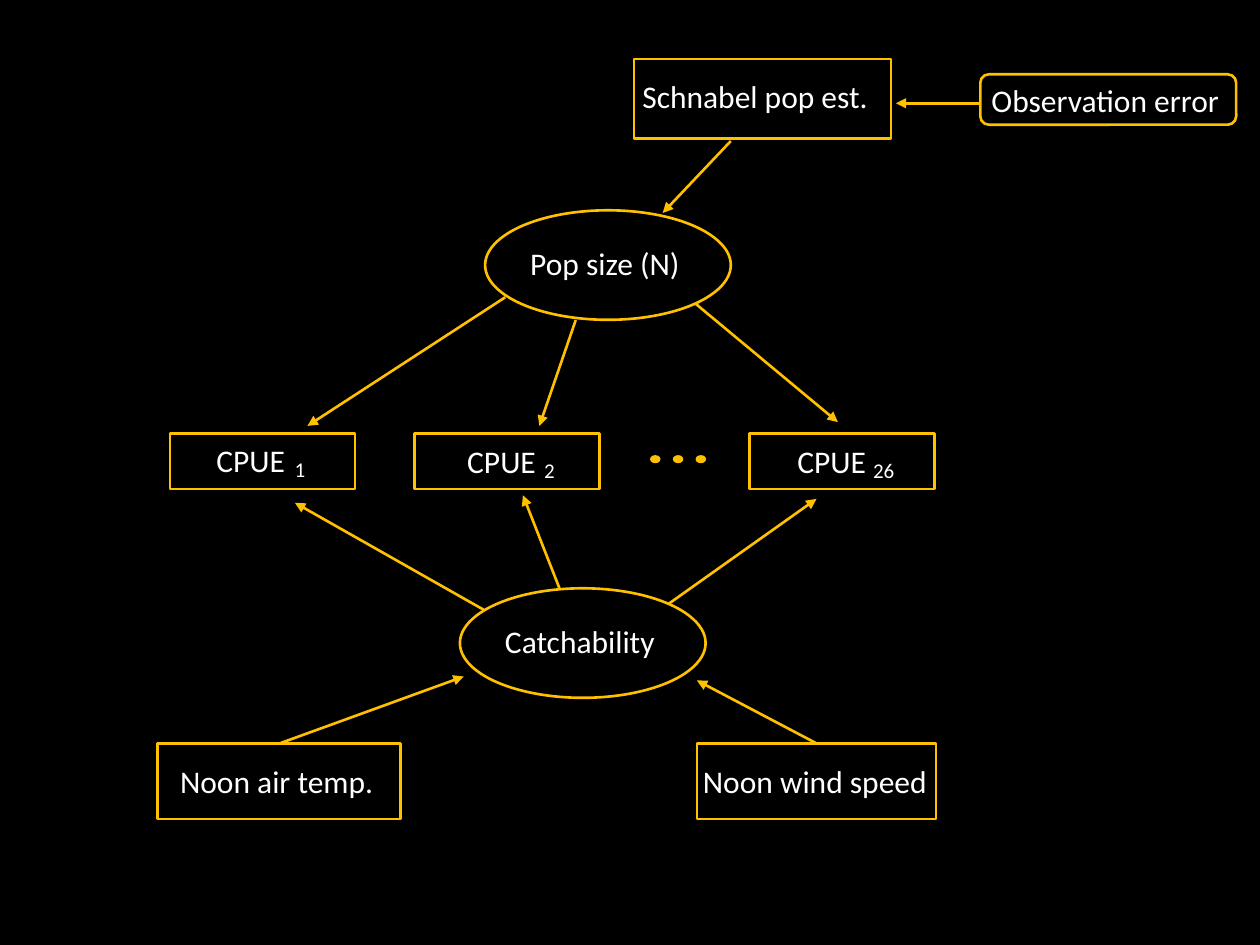
from dataclasses import dataclass

from lxml import etree
from pptx import Presentation
from pptx.dml.color import RGBColor
from pptx.enum.shapes import MSO_CONNECTOR, MSO_SHAPE
from pptx.enum.text import MSO_AUTO_SIZE
from pptx.oxml.ns import qn
from pptx.util import Pt

OVAL = MSO_SHAPE.OVAL
RECT = MSO_SHAPE.RECTANGLE
ROUND = MSO_SHAPE.ROUNDED_RECTANGLE
LINE = MSO_CONNECTOR.STRAIGHT
GROW = MSO_AUTO_SIZE.SHAPE_TO_FIT_TEXT


@dataclass(frozen=True)
class Theme:
    back: RGBColor = RGBColor(0, 0, 0)
    gold: RGBColor = RGBColor(0xFF, 0xC0, 0)
    text: RGBColor = RGBColor(0xFF, 0xFF, 0xFF)
    font: str = "Calibri"
    main: float = 18
    sub: float = 12
    line: float = 1.5
    thin: float = 1


THEME = Theme()

NODES = [
    (OVAL, (277.2, 120.2, 140.4, 62.6), "Pop size (N)", (18.7, 15.8, 100.8), False),
    (OVAL, (262.8, 336.2, 140.4, 62.6), "Catchability", (18.7, 15.8, 100.8), False),
    (RECT, (362.2, 33.8, 146.9, 45.4), "Schnabel pop est.", (-2.2, 6.5, 146.9), True),
    (RECT, (90, 424.8, 139, 43.2), "Noon air temp.", (5.8, 7.2, 126), False),
    (RECT, (398.2, 424.8, 136.8, 43.2), "Noon wind speed", (-3.6, 7.2, 144), False),
    (ROUND, (560.2, 42.5, 146.2, 28.8), "Observation error", (-0.7, 0, 146.2), False),
]

CATCHES = [
    (97.2, "1", (19.4, 0.7), (64.1, 9.4, 20.9)),
    (236.9, "2", (23, 1.4), (67, 10, 20.9)),
    (428.4, "26", (20.2, 1.4), (63.4, 10, 26.6)),
]

LINKS = [
    ((417.6, 80.6), (378.7, 121.7)),
    ((288.7, 169.9), (175.7, 243.4)),
    ((329, 182.9), (308.2, 243.4)),
    ((397.4, 173.5), (478.8, 241.2)),
    ((276.5, 348.5), (168.5, 287.3)),
    ((319.7, 336.2), (298.8, 283)),
    ((382.3, 344.9), (466.6, 285.1)),
    ((466.6, 424.8), (398.2, 388.8)),
    ((159.8, 424.8), (265, 386.6)),
    ((560.2, 59), (511.9, 59)),
]


def frame(slide, kind, box, width=THEME.line):
    shape = slide.shapes.add_shape(kind, *map(Pt, box))
    shape.shadow.inherit = False
    shape.fill.background()
    shape.line.color.rgb = THEME.gold
    shape.line.width = Pt(width)
    return shape


def label(slide, box, text, size=THEME.main, wrap=False):
    area = slide.shapes.add_textbox(*map(Pt, box)).text_frame
    area.word_wrap = wrap
    area.auto_size = GROW
    run = area.paragraphs[0].add_run()
    run.text = text
    run.font.name = THEME.font
    run.font.size = Pt(size)
    run.font.color.rgb = THEME.text


def node(slide, kind, box, text, place, wrap):
    left, top, _, _ = box
    x, y, width = place
    frame(slide, kind, box)
    label(slide, (left + x, top + y, width, 28.8), text, wrap=wrap)


def catch(slide, box, index, name, sub):
    node(slide, RECT, box, "CPUE", (*name, 54), False)
    left, top, _, _ = box
    x, y, width = sub
    label(slide, (left + x, top + y, width, 21.6), index, THEME.sub)


def dots(slide, box, count=3):
    left, top, width, height = box
    size = 5
    step = (width - size) / (count - 1)
    for i in range(count):
        dot = frame(slide, OVAL, (left + i * step, top, size, height), THEME.thin)
        dot.fill.solid()
        dot.fill.fore_color.rgb = THEME.gold


def arrow(slide, start, end):
    link = slide.shapes.add_connector(LINE, *map(Pt, start + end))
    link.line.color.rgb = THEME.gold
    link.line.width = Pt(THEME.line)
    props = link.line._get_or_add_ln()
    etree.SubElement(props, qn("a:tailEnd"), type="triangle")
    etree.SubElement(link._element.spPr, qn("a:effectLst"))


def main():
    deck = Presentation()
    deck.slide_width, deck.slide_height = Pt(720), Pt(540)
    slide = deck.slides.add_slide(deck.slide_layouts[6])
    fill = slide.background.fill
    fill.solid()
    fill.fore_color.rgb = THEME.back
    dots(slide, (372, 260.6, 31, 3.6))
    for item in NODES:
        node(slide, *item)
    for left, index, name, sub in CATCHES:
        catch(slide, (left, 247.7, 105.8, 31.7), index, name, sub)
    for start, end in LINKS:
        arrow(slide, start, end)
    deck.save("out.pptx")


if __name__ == "__main__":
    main()
